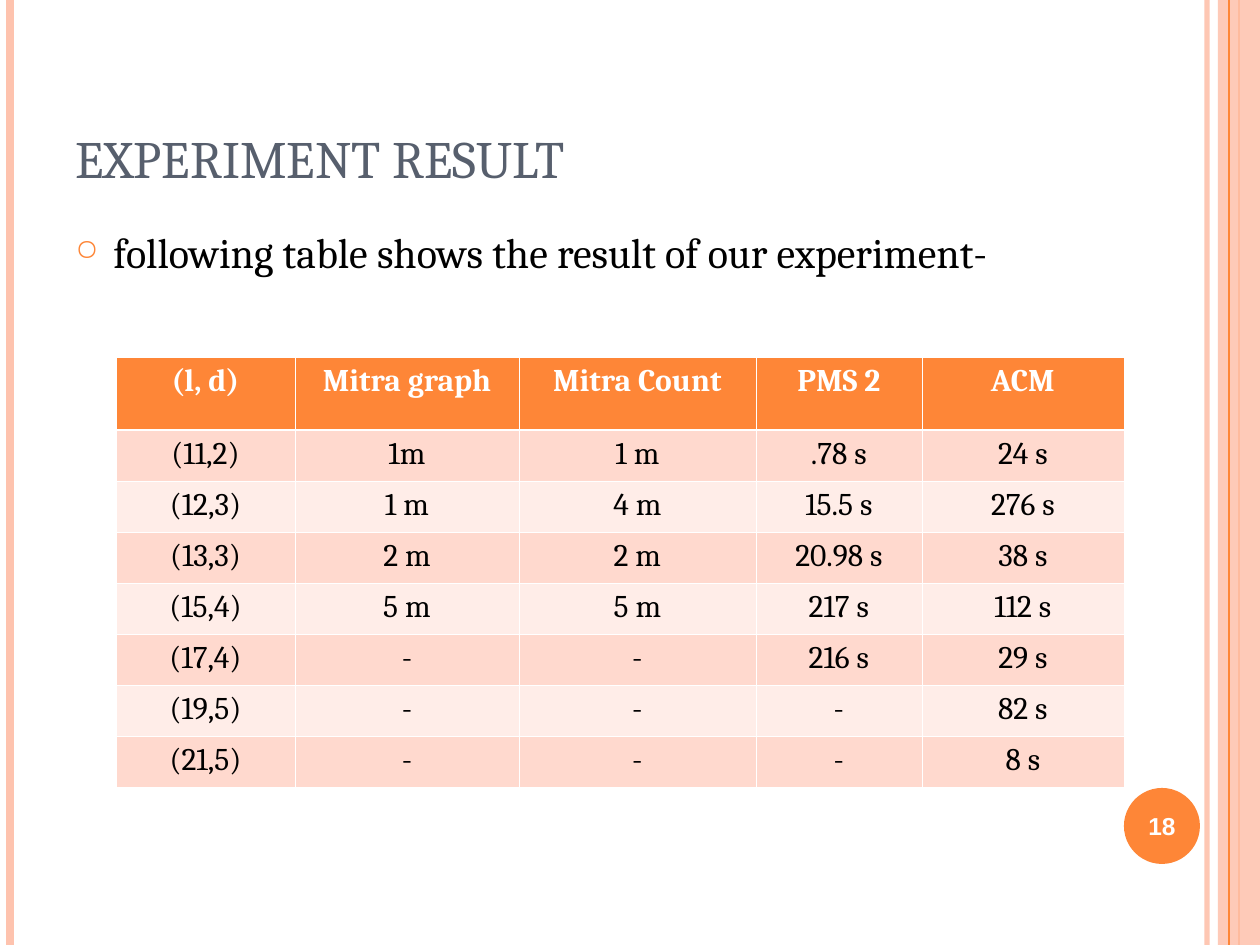
from lxml import etree
from pptx import Presentation
from pptx.dml.color import RGBColor
from pptx.enum.shapes import MSO_CONNECTOR, MSO_SHAPE
from pptx.enum.text import MSO_ANCHOR, MSO_AUTO_SIZE, PP_ALIGN
from pptx.oxml.ns import qn
from pptx.util import Pt

LINE = MSO_CONNECTOR.STRAIGHT
RECT, OVAL = MSO_SHAPE.RECTANGLE, MSO_SHAPE.OVAL
TOP, MIDDLE, BOTTOM = MSO_ANCHOR.TOP, MSO_ANCHOR.MIDDLE, MSO_ANCHOR.BOTTOM
LEFT, CENTER = PP_ALIGN.LEFT, PP_ALIGN.CENTER

TITLE = "EXPERIMENT RESULT"
BODY = "following table shows the result of our experiment-"
NUMBER = "18"
ROWS = [
    ("(l, d)", "Mitra graph", "Mitra Count", "PMS 2", "ACM"),
    ("(11,2)", "1m", "1 m", ".78 s", "24 s"),
    ("(12,3)", "1 m", "4 m", "15.5 s", "276 s"),
    ("(13,3)", "2 m", "2 m", "20.98 s", "38 s"),
    ("(15,4)", "5 m", "5 m", "217 s", "112 s"),
    ("(17,4)", "-", "-", "216 s", "29 s"),
    ("(19,5)", "-", "-", "-", "82 s"),
    ("(21,5)", "-", "-", "-", "8 s"),
]

THEME = {
    "accent": "FE8637", "pale": "FEC3AE", "title": "575F6D",
    "text": "000000", "white": "FFFFFF", "bands": ("FFEDE8", "FFD9CE"),
    "font": "Cambria", "number_font": "Arial",
    "title_size": 30, "body_size": 24, "cell_size": 18, "number_size": 14,
    "grid": 0.45, "header_rule": 1.47,
}

WIDTH, HEIGHT = 1260, 945
TITLE_BOX = (63, 38, 1029, 157)
BODY_BOX = (63, 220, 1029, 672)
NUMBER_BOX = (1120, 790, 84, 72)
BADGE_BOX = (1124, 788, 76, 76)
BAND_BOX = (1218, 0, 42, HEIGHT)
TABLE_AT = (116, 357)
COLUMNS = (179, 224, 237, 166, 202)
HEADER_H, ROW_H = 73, 51
INDENT = 38
BACK_RULES = [(1207, "pale", 3, 93), (10, "pale", 4.5, 100),
              (1239, "accent", 1.5, 100)]
FRONT_RULES = [(1229, "accent", 0.75, 100)]


def px(n):
    return round(n * 914400 / 126)


def box(rect):
    return [px(n) for n in rect]


def rgb(name):
    return RGBColor.from_string(THEME.get(name, name))


def set_alpha(parent, percent):
    color = next(parent.iter(qn("a:srgbClr")))
    etree.SubElement(color, qn("a:alpha"), val=str(percent * 1000))


def style_text(tf, text, size, color, font="font", bold=False,
               align=LEFT, anchor=TOP):
    tf.text = text
    tf.word_wrap = True
    tf.vertical_anchor = anchor
    p = tf.paragraphs[0]
    p.alignment = align
    f = p.runs[0].font
    f.name, f.size, f.bold = THEME[font], Pt(THEME[size]), bold
    f.color.rgb = rgb(color)
    return p


def add_rule(slide, x, color, width, alpha):
    rule = slide.shapes.add_connector(LINE, px(x), 0, px(x), px(HEIGHT))
    rule.line.color.rgb = rgb(color)
    rule.line.width = Pt(width)
    if alpha < 100:
        set_alpha(rule.line._get_or_add_ln(), alpha)
    etree.SubElement(rule._element.spPr, qn("a:effectLst"))


def add_fill(slide, kind, rect, color):
    sp = slide.shapes.add_shape(kind, *box(rect))
    sp.shadow.inherit = False
    sp.fill.solid()
    sp.fill.fore_color.rgb = rgb(color)
    sp.line.fill.background()
    return sp


def add_bullet(p):
    pPr = p._p.get_or_add_pPr()
    pPr.set("marL", str(px(INDENT)))
    pPr.set("indent", str(-px(INDENT)))
    color = etree.SubElement(pPr, qn("a:buClr"))
    etree.SubElement(color, qn("a:srgbClr"), val=THEME["accent"])
    etree.SubElement(pPr, qn("a:buSzPct"), val="70000")
    etree.SubElement(pPr, qn("a:buChar"), char="○")


def set_borders(cell, widths):
    tcPr = cell._tc.get_or_add_tcPr()
    for i, (side, width) in enumerate(widths.items()):
        ln = etree.Element(qn("a:ln" + side), w=str(Pt(width)))
        fill = etree.SubElement(ln, qn("a:solidFill"))
        etree.SubElement(fill, qn("a:srgbClr"), val=THEME["white"])
        tcPr.insert(i, ln)


def add_results(slide):
    height = HEADER_H + ROW_H * (len(ROWS) - 1)
    table = slide.shapes.add_table(
        len(ROWS), len(COLUMNS), *box((*TABLE_AT, sum(COLUMNS), height))).table
    for column, width in zip(table.columns, COLUMNS):
        column.width = px(width)
    grid, thick = THEME["grid"], THEME["header_rule"]
    for r, values in enumerate(ROWS):
        header = r == 0
        table.rows[r].height = px(HEADER_H if header else ROW_H)
        for c, value in enumerate(values):
            cell = table.cell(r, c)
            style_text(cell.text_frame, value, "cell_size",
                       "white" if header else "text", bold=header, align=CENTER)
            cell.fill.solid()
            cell.fill.fore_color.rgb = rgb(
                "accent" if header else THEME["bands"][r % 2])
            set_borders(cell, {"L": grid, "R": grid,
                               "T": thick if r == 1 else grid,
                               "B": thick if header else grid})


def main():
    prs = Presentation()
    prs.slide_width, prs.slide_height = px(WIDTH), px(HEIGHT)
    slide = prs.slides.add_slide(prs.slide_layouts[5])

    for rule in BACK_RULES:
        add_rule(slide, *rule)
    band = add_fill(slide, RECT, BAND_BOX, "pale")
    set_alpha(band._element.spPr, 87)
    for rule in FRONT_RULES:
        add_rule(slide, *rule)
    add_fill(slide, OVAL, BADGE_BOX, "accent")

    title = slide.shapes.title
    title.left, title.top, title.width, title.height = box(TITLE_BOX)
    style_text(title.text_frame, TITLE, "title_size", "title", anchor=BOTTOM)
    title.text_frame.auto_size = MSO_AUTO_SIZE.NONE

    body = slide.shapes.add_textbox(*box(BODY_BOX))
    p = style_text(body.text_frame, BODY, "body_size", "text")
    p.space_before = Pt(6)
    add_bullet(p)

    number = slide.shapes.add_textbox(*box(NUMBER_BOX))
    style_text(number.text_frame, NUMBER, "number_size", "white",
               font="number_font", bold=True, align=CENTER, anchor=MIDDLE)

    add_results(slide)
    prs.save("out.pptx")


if __name__ == "__main__":
    main()
